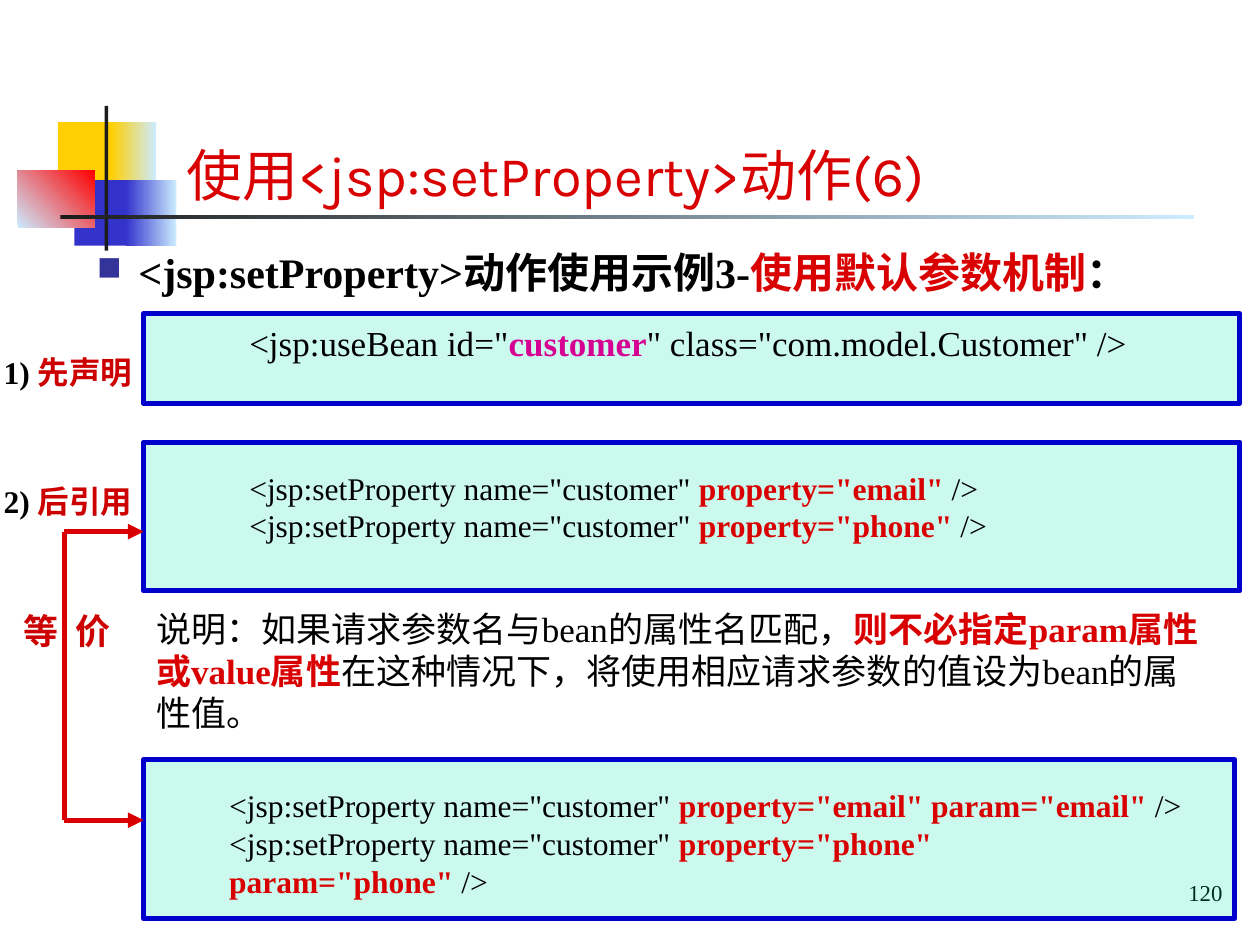
from lxml import etree
from pptx import Presentation
from pptx.dml.color import RGBColor
from pptx.enum.shapes import MSO_CONNECTOR, MSO_SHAPE
from pptx.enum.text import MSO_ANCHOR, MSO_AUTO_SIZE, PP_ALIGN
from pptx.oxml.ns import qn
from pptx.util import Inches, Pt

RECT = MSO_SHAPE.RECTANGLE
LINE = MSO_CONNECTOR.STRAIGHT
LEFT, RIGHT = PP_ALIGN.LEFT, PP_ALIGN.RIGHT
MIDDLE, BOTTOM = MSO_ANCHOR.MIDDLE, MSO_ANCHOR.BOTTOM
FIXED = MSO_AUTO_SIZE.NONE

BLACK, RED, DEEP, PINK = "000000", "D80000", "CC0000", "D60093"
BLUE, MINT, NAVY = "0000CC", "00E4A8", "333399"
GOLD, INDIGO, PALE, DARK = "FFCF01", "3333CC", "CCECFF", "1C1C1C"


def color(code):
    return RGBColor.from_string(code)


def add(parent, tag, **attrs):
    node = etree.SubElement(parent, qn(tag))
    for key, value in attrs.items():
        node.set(key, str(value))
    return node


class Slide:
    font = "Times New Roman"

    def __init__(self, deck):
        self.page = deck.slides.add_slide(deck.slide_layouts[5])
        self.shapes = self.page.shapes

    def runs(self, para, parts, size, font=None):
        """Each part is (text, colour, bold)."""
        for text, code, bold in parts:
            run = para.add_run()
            run.text = text
            run.font.name = font or self.font
            run.font.size = Pt(size)
            run.font.bold = bold
            run.font.color.rgb = color(code)

    def title(self, text, box, size, font):
        shape = self.shapes.title
        shape.left, shape.top, shape.width, shape.height = map(Inches, box)
        frame = shape.text_frame
        frame.auto_size = FIXED
        frame.vertical_anchor = BOTTOM
        para = frame.paragraphs[0]
        para.alignment = LEFT
        self.runs(para, [(text, RED, False)], size, font)

    def text(self, box, lines, size, wrap=True, indent=0, align=LEFT):
        shape = self.shapes.add_textbox(*map(Inches, box))
        frame = shape.text_frame
        frame.word_wrap = wrap
        for i, parts in enumerate(lines):
            para = frame.add_paragraph() if i else frame.paragraphs[0]
            para.alignment = align
            if indent:
                para._p.get_or_add_pPr().set("marL", str(Inches(indent)))
            self.runs(para, parts, size)
        return frame

    def bullet(self, para, code, hang):
        props = para._p.get_or_add_pPr()
        props.set("marL", str(Inches(hang)))
        props.set("indent", str(-Inches(hang)))
        add(add(props, "a:buClr"), "a:srgbClr", val=code)
        add(props, "a:buSzPct", val=80000)
        add(props, "a:buChar", char="■")

    def block(self, box, start, end=None, angle=0):
        shape = self.shapes.add_shape(RECT, *map(Inches, box))
        shape.shadow.inherit = False
        shape.line.fill.background()
        if end is None:
            shape.fill.solid()
            shape.fill.fore_color.rgb = color(start)
        else:
            shape.fill.gradient()
            shape.fill.gradient_angle = angle
            for stop, place, code in zip(shape.fill.gradient_stops, (0, 1), (start, end)):
                stop.position = place
                stop.color.rgb = color(code)
        return shape

    def panel(self, box):
        shape = self.block(box, MINT)
        shape.line.color.rgb = color(BLUE)
        shape.line.width = Pt(3)
        fill = shape._element.spPr.find(qn("a:solidFill"))
        add(fill[0], "a:alpha", val=20000)

    def line(self, start, end, arrow=False):
        link = self.shapes.add_connector(LINE, *map(Inches, start + end))
        link.line.color.rgb = color(RED)
        link.line.width = Pt(3)
        if arrow:
            add(link.line._get_or_add_ln(), "a:tailEnd", type="triangle")
        add(link._element.spPr, "a:effectLst")


def setter(attrs):
    return [('<jsp:setProperty name="customer" ', BLACK, False),
            (attrs, RED, True), (" />", BLACK, False)]


def main():
    deck = Presentation()
    deck.slide_width, deck.slide_height = Inches(10), Inches(7.5)
    slide = Slide(deck)

    # Corner ornament and rule
    slide.block((0.46, 0.97, 0.48, 0.52), GOLD)
    slide.block((0.88, 0.97, 0.36, 0.52), GOLD, PALE)
    slide.block((0.59, 1.43, 0.46, 0.52), INDIGO)
    slide.block((1, 1.43, 0.4, 0.52), INDIGO, PALE)
    slide.block((0.14, 1.35, 0.61, 0.46), PALE, "FF0000", 45)
    slide.block((0.83, 0.84, 0.03, 1.15), DARK)
    slide.block((0.48, 1.71, 9, 0.03), DARK, PALE)

    # Page number, under the last panel
    number = slide.text((7.89, 6.9, 1.91, 0.37), [[("120", BLACK, False)]], 13,
                        wrap=False, align=RIGHT)
    number.vertical_anchor = MIDDLE

    # Title and heading
    slide.title("使用<jsp:setProperty>动作(6)", (1.38, 0.52, 7.32, 1.18), 32, "Karla")
    head = slide.text((0.67, 1.91, 8.98, 0.5), [[
        ("<jsp:setProperty>动作使用示例3-", BLACK, True),
        ("使用默认参数机制", RED, True), ("：", BLACK, True)]], 24)
    slide.bullet(head.paragraphs[0], NAVY, 0.33)

    # Code panels
    for box in ((1.14, 2.49, 8.7, 0.71), (1.14, 3.51, 8.7, 1.18), (1.14, 6.03, 8.66, 1.26)):
        slide.panel(box)
    slide.text((1.38, 2.5, 8.11, 0.43), [[
        ('<jsp:useBean id="', BLACK, False), ("customer", PINK, True),
        ('" class="com.model.Customer" />', BLACK, False)]], 20, indent=0.5)
    names = ("email", "phone")
    slide.text((1.38, 3.67, 8.11, 0.7),
               [setter(f'property="{name}"') for name in names], 18, indent=0.5)
    slide.text((1.22, 6.19, 8.31, 1),
               [setter(f'property="{name}" param="{name}"') for name in names],
               18, indent=0.5)

    # Step labels
    for top, mark, step in ((2.75, "1) ", "先声明"), (3.78, "2) ", "后引用")):
        slide.text((-0.07, top, 1.28, 0.4),
                   [[(mark, BLACK, True), (step, DEEP, True)]], 18, wrap=False)

    # Bracket joining the equal forms
    side, edge, upper, lower = 0.51, 1.14, 4.22, 6.51
    slide.line((side, upper), (edge, upper), arrow=True)
    slide.line((side, upper), (side, lower))
    slide.line((side, lower), (edge, lower), arrow=True)
    equal = slide.text((0.09, 4.79, 0.89, 0.43),
                       [[(part, DEEP, True) for part in ("等", " ", "价")]], 20, wrap=False)
    gap = equal.paragraphs[0].runs[1]
    gap._r.get_or_add_rPr().set("spc", "500")

    # Explanation
    slide.text((1.14, 4.77, 8.58, 1.1), [[
        ("说明：如果请求参数名与bean的属性名匹配，", BLACK, False),
        ("则不必指定param属性或value属性", RED, True),
        ("在这种情况下，将使用相应请求参数的值设为bean的属性值。", BLACK, False)]], 20)

    deck.save("out.pptx")


if __name__ == "__main__":
    main()
